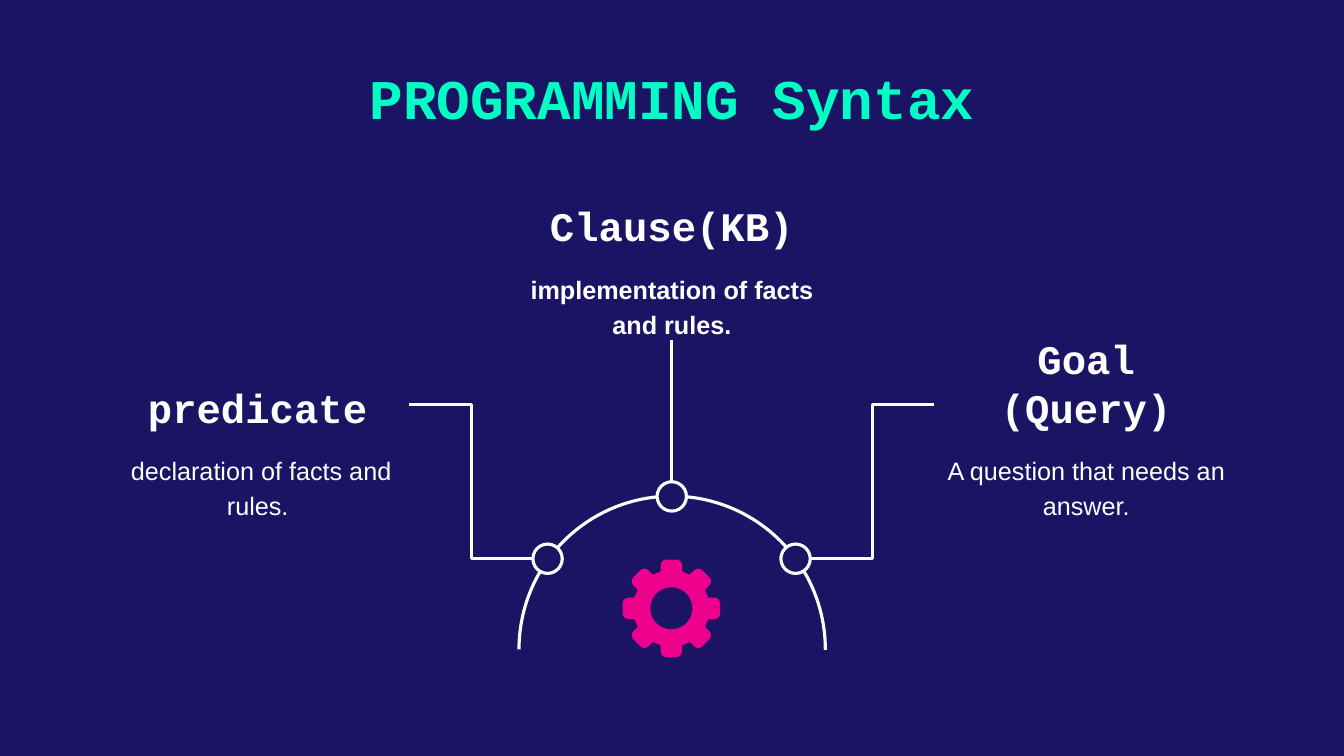
from dataclasses import dataclass
from math import cos, pi, sin

from lxml.etree import SubElement
from pptx import Presentation
from pptx.dml.color import RGBColor
from pptx.enum.shapes import MSO_CONNECTOR, MSO_SHAPE
from pptx.enum.text import MSO_ANCHOR, PP_ALIGN
from pptx.oxml.ns import qn
from pptx.util import Cm, Pt


@dataclass(frozen=True)
class Theme:
    navy = RGBColor(0x1B, 0x14, 0x64)
    mint = RGBColor(0x00, 0xFF, 0xC5)
    pink = RGBColor(0xEC, 0x00, 0x8C)
    white = RGBColor(0xFF, 0xFF, 0xFF)
    mono = "Courier New"
    sans = "Arial"
    title = Pt(40)
    head = Pt(29)
    body = Pt(18)
    line = Pt(2.25)


theme = Theme()


def add_text(box, words, font, size, color, bold, inset=0.25,
             anchor=MSO_ANCHOR.TOP, spacing=1.0):
    """Add a centred text box; box is left, top, width, height in cm."""
    frame = slide.shapes.add_textbox(*map(Cm, box)).text_frame
    frame.word_wrap = True
    frame.vertical_anchor = anchor
    frame.margin_left = frame.margin_right = Cm(inset)
    frame.margin_top = frame.margin_bottom = Cm(inset)
    para = frame.paragraphs[0]
    para.alignment = PP_ALIGN.CENTER
    para.line_spacing = spacing
    run = para.add_run()
    run.text = words
    run.font.name = font
    run.font.size = size
    run.font.bold = bold
    run.font.color.rgb = color


def outline(shape):
    shape.line.color.rgb = theme.white
    shape.line.width = theme.line


deck = Presentation()
deck.slide_width, deck.slide_height = Cm(33.87), Cm(19.05)
slide = deck.slides.add_slide(deck.slide_layouts[6])
slide.background.fill.solid()
slide.background.fill.fore_color.rgb = theme.navy

add_text((2.67, 1.27, 28.52, 2.49), "PROGRAMMING Syntax", theme.mono,
         theme.title, theme.mint, True, inset=0.33)

# Half circle; arc angles are in units of 100000/60000 degrees
arc = slide.shapes.add_shape(MSO_SHAPE.ARC, Cm(13.08), Cm(12.5), Cm(7.72), Cm(7.72))
arc.rotation = 270
arc.adjustments[0], arc.adjustments[1] = 162, 54.15
arc.fill.background()
arc.shadow.inherit = False
outline(arc)

# Nodes on the arc, by centre
size = 0.74
for x, y in [(13.8, 14.08), (16.93, 12.51), (20.05, 14.08)]:
    node = slide.shapes.add_shape(MSO_SHAPE.OVAL, Cm(x - size / 2), Cm(y - size / 2),
                                  Cm(size), Cm(size))
    node.fill.solid()
    node.fill.fore_color.rgb = theme.navy
    node.shadow.inherit = False
    outline(node)

# Three terms: top, heading, meaning, bold meaning
terms = [
    (9.27, "predicate", " declaration of facts and rules.", False),
    (4.7, "Clause(KB)", "implementation of facts and rules.", True),
    (9.27, "Goal (Query)", "A question that needs an answer.", False),
]
left, step, width, tall = 2.67, 10.44, 7.65, 1.85
for i, (top, head, body, bold) in enumerate(terms):
    x = left + i * step
    add_text((x, top, width, tall), head, theme.mono, theme.head, theme.white,
             True, anchor=MSO_ANCHOR.BOTTOM)
    add_text((x, top + tall, width, 2.05), body, theme.sans, theme.body,
             theme.white, bold, spacing=1.15)

# Links from terms to nodes
links = [
    (MSO_CONNECTOR.ELBOW, 10.32, 10.2, 13.43, 14.08),
    (MSO_CONNECTOR.STRAIGHT, 16.93, 8.58, 16.93, 12.14),
    (MSO_CONNECTOR.ELBOW, 23.55, 10.2, 20.42, 14.08),
]
for kind, *ends in links:
    link = slide.shapes.add_connector(kind, *map(Cm, ends))
    outline(link)
    SubElement(link._element.spPr, qn("a:effectLst"))

# Gear: one rounded tooth as (radius, offset), turned eight times
teeth, steps = 8, 6
curve = [(1.08 + 0.15 * sin(a), 0.12 + 0.15 * cos(a))
         for a in [k * pi / 2 / steps for k in range(steps + 1)]]
half = [(0.93, 0.27)] + curve
tooth = [(r, -w) for r, w in half] + half[::-1]
mid_x, mid_y = 16.92, 15.33
rim = []
for i in range(teeth):
    a = i * 2 * pi / teeth
    rim += [(r * cos(a) - w * sin(a), r * sin(a) + w * cos(a)) for r, w in tooth]
hole = [(0.53 * cos(k * pi / 24), -0.53 * sin(k * pi / 24)) for k in range(48)]
rim, hole = [[(Cm(mid_x + x), Cm(mid_y + y)) for x, y in ring] for ring in (rim, hole)]
pen = slide.shapes.build_freeform(*rim[0])
pen.add_line_segments(rim[1:])
pen.move_to(*hole[0])
pen.add_line_segments(hole[1:])
gear = pen.convert_to_shape()
gear.fill.solid()
gear.fill.fore_color.rgb = theme.pink
gear.line.fill.background()
gear.shadow.inherit = False

deck.save("out.pptx")
